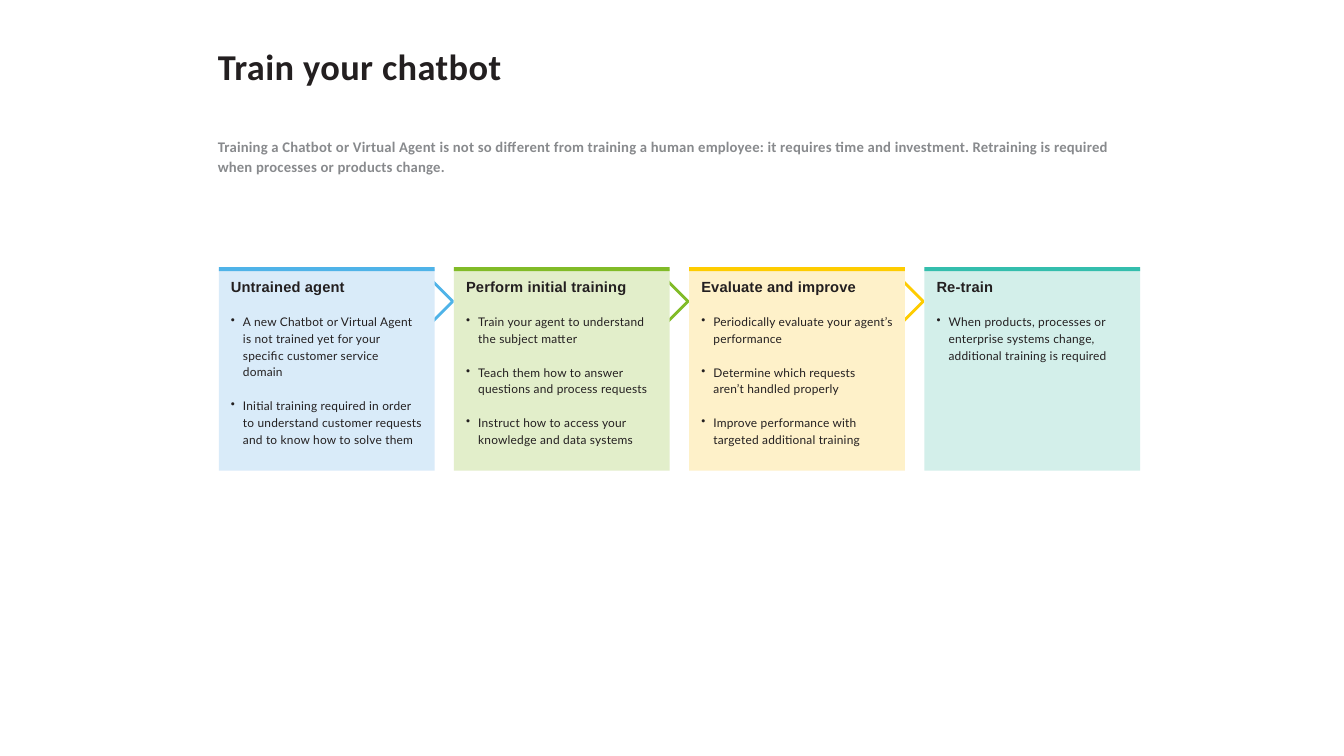
from lxml.etree import SubElement
from pptx import Presentation
from pptx.dml.color import RGBColor
from pptx.enum.shapes import MSO_SHAPE
from pptx.enum.text import MSO_ANCHOR, PP_ALIGN
from pptx.oxml.ns import qn
from pptx.util import Inches, Pt

COLORS = {
    "ink": "231F20", "grey": "888A8D",
    "blue": "4FB3E8", "blue_tint": "D9EBF9",
    "green": "81BB27", "green_tint": "E2EECA",
    "yellow": "FECC00", "yellow_tint": "FEF1C9",
    "teal": "34BEAD", "teal_tint": "D3EFEA",
}
TITLE = "Train your chatbot"
SUMMARY = ("Training a Chatbot or Virtual Agent is not so different from training a human "
           "employee: it requires time and investment. Retraining is required when "
           "processes or products change.")
STAGES = [
    ("Untrained agent", "blue", [
        "A new Chatbot or Virtual Agent\vis not trained yet for your\vspecific customer service\vdomain",
        "Initial training required in order\vto understand customer requests\vand to know how to solve them"]),
    ("Perform initial training", "green", [
        "Train your agent to understand\vthe subject matter",
        "Teach them how to answer\vquestions and process requests",
        "Instruct how to access your\vknowledge and data systems"]),
    ("Evaluate and improve", "yellow", [
        "Periodically evaluate your agent’s\vperformance",
        "Determine which requests\varen’t handled properly",
        "Improve performance with\vtargeted additional training"]),
    ("Re-train", "teal", [
        "When products, processes or\venterprise systems change,\vadditional training is required"]),
]
LEFT, TOP, PITCH = 2.17, 2.67, 2.333
CARD_WIDTH, CARD_HEIGHT = 2.14, 2.0
BAR_HEIGHT = 0.04


def color(name):
    return RGBColor.from_string(COLORS[name])


def add_block(page, left, top, width, height, fill):
    block = page.shapes.add_shape(MSO_SHAPE.RECTANGLE, Inches(left), Inches(top),
                                  Inches(width), Inches(height))
    block.shadow.inherit = False
    block.fill.solid()
    block.fill.fore_color.rgb = color(fill)
    block.line.fill.background()


def add_text_frame(page, left, top, width, height, inset):
    box = page.shapes.add_textbox(Inches(left), Inches(top), Inches(width), Inches(height))
    frame = box.text_frame
    frame.word_wrap = True
    frame.vertical_anchor = MSO_ANCHOR.TOP
    frame.margin_left = frame.margin_right = frame.margin_bottom = 0
    frame.margin_top = Inches(inset)
    return frame


def write(para, text, font, size, ink, before, bold=False, tracking=0.1,
          line=1.0, indent=0.01, bullet=False):
    para.text = text
    para.alignment = PP_ALIGN.LEFT
    para.space_before = Pt(before)
    para.line_spacing = line
    properties = para._p.get_or_add_pPr()
    properties.set("marL", str(Inches(indent)))
    properties.set("indent", str(Inches(-0.12 if bullet else 0)))
    if bullet:
        SubElement(properties, qn("a:buChar")).set("char", "•")
    para.font.name = font
    para.font.size = Pt(size)
    para.font.bold = bold
    para.font.color.rgb = color(ink)
    properties.find(qn("a:defRPr")).set("spc", str(round(tracking * 100)))


def add_heading(page, left, top, width, height):
    frame = add_text_frame(page, left, top, width, height, 0.15)
    write(frame.paragraphs[0], TITLE, "Calibri", 26, "ink", 11.1, True, 0.27)
    write(frame.add_paragraph(), SUMMARY, "Calibri", 10.5, "grey", 33, True, 0.17, 1.18)


def add_chevron(page, left, top, width, height, ink):
    outline = page.shapes.build_freeform(Inches(left), Inches(top + height))
    outline.add_line_segments([(Inches(left + width), Inches(top + height / 2)),
                               (Inches(left), Inches(top))], close=False)
    chevron = outline.convert_to_shape()
    chevron.shadow.inherit = False
    chevron.fill.background()
    chevron.line.color.rgb = color(ink)
    chevron.line.width = Pt(2)


def add_card(page, left, top, width, height, stage, has_next):
    heading, hue, points = stage
    if has_next:
        add_chevron(page, left + width - 0.03, top + 0.11, 0.21, 0.42, hue)
    add_block(page, left, top, width, height, hue + "_tint")
    add_block(page, left, top - BAR_HEIGHT / 2, width, BAR_HEIGHT, hue)
    frame = add_text_frame(page, left, top + 0.08, width, height - 0.3, 0.01)
    write(frame.paragraphs[0], heading, "Arial", 10.5, "ink", 1, True, 0.15, indent=0.12)
    for number, point in enumerate(points):
        write(frame.add_paragraph(), point, "Lato", 8.5, "ink", 12.1 if number else 11.6,
              tracking=0.14, line=1.18, indent=0.24, bullet=True)


def main():
    deck = Presentation()
    deck.slide_width, deck.slide_height = Inches(13.33), Inches(7.5)
    page = deck.slides.add_slide(deck.slide_layouts[6])
    add_heading(page, 2.15, 0.29, 9.02, 1.62)
    for column, stage in enumerate(STAGES):
        add_card(page, LEFT + column * PITCH, TOP, CARD_WIDTH, CARD_HEIGHT,
                 stage, column < len(STAGES) - 1)
    deck.save("out.pptx")


if __name__ == "__main__":
    main()
